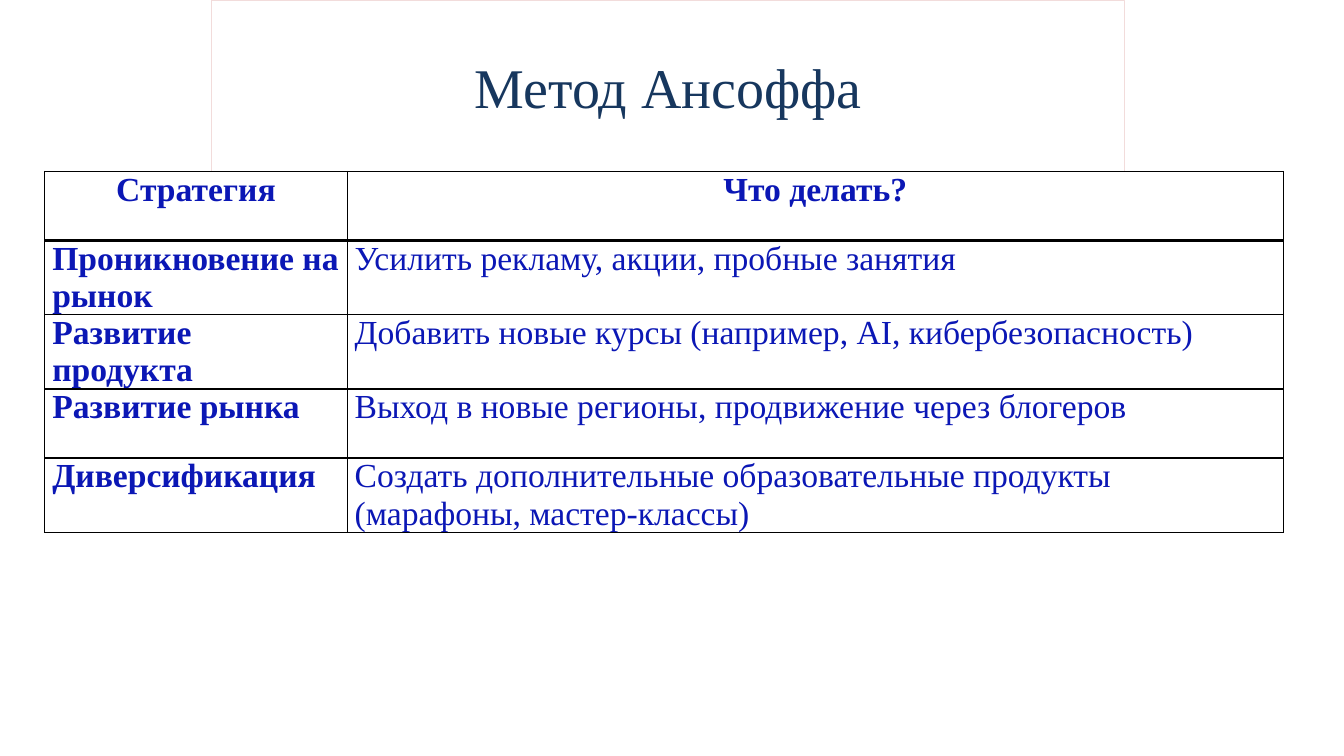
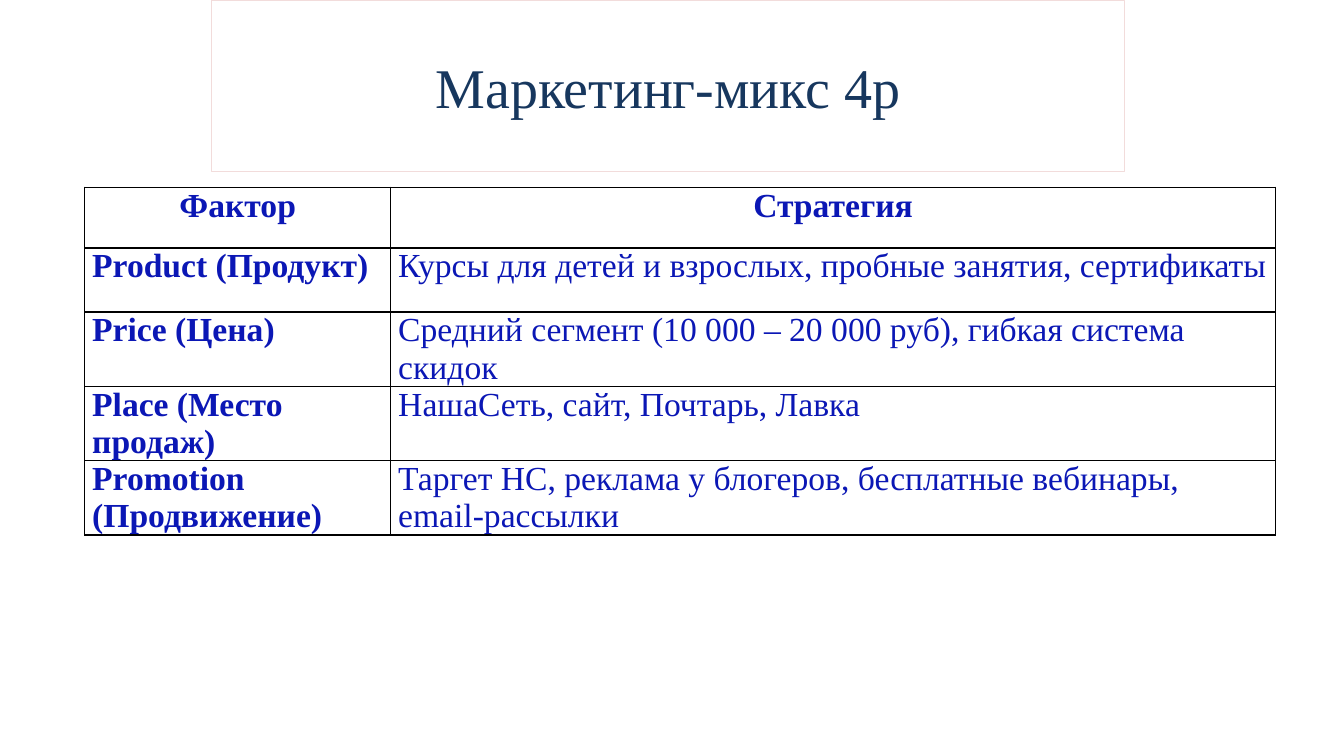
import pptx
import pptx.dml.color
import pptx.enum.text
import pptx.oxml
import pptx.oxml.ns
import pptx.util

Pt = pptx.util.Pt
ALIGN = pptx.enum.text.PP_ALIGN
MIDDLE = pptx.enum.text.MSO_ANCHOR.MIDDLE

FONT = "Times New Roman"
WHITE, NAVY, BLUE, PINK, BLACK = "FFFFFF", "17375E", "0B17B5", "F2DCDB", "000000"

ansoff = {
    "title": "Метод Ансоффа",
    "corner": (32, 122.4),
    "columns": (216, 668.7),
    "heights": (49.3, 52.6, 49.3, 49.3, 49.3),
    "rows": [
        ("Стратегия", "Что делать?"),
        ("Проникновение на рынок", "Усилить рекламу, акции, пробные занятия"),
        ("Развитие продукта", "Добавить новые курсы (например, AI, кибербезопасность)"),
        ("Развитие рынка", "Выход в новые регионы, продвижение через блогеров"),
        ("Диверсификация",
         "Создать дополнительные образовательные продукты (марафоны, мастер-классы)"),
    ],
}
marketing_mix = {
    "title": "Маркетинг-микс 4p",
    "corner": (60.5, 133.8),
    "columns": (218.6, 632),
    "heights": (43.2, 45.9, 40.3, 37.4, 39.6),
    "rows": [
        ("Фактор", "Стратегия"),
        ("Product (Продукт)", "Курсы для детей и взрослых, пробные занятия, сертификаты"),
        ("Price (Цена)", "Средний сегмент (10 000 – 20 000 руб), гибкая система скидок"),
        ("Place (Место продаж)", "НашаСеть, сайт, Почтарь, Лавка"),
        ("Promotion (Продвижение)",
         "Таргет НС, реклама у блогеров, бесплатные вебинары, email-рассылки"),
    ],
}


def color(hex_string):
    return pptx.dml.color.RGBColor.from_string(hex_string)


def add_borders(cell, bottom_width):
    """Draw the four sides of a cell; the borders must precede its fill in the XML."""
    properties = cell._tc.get_or_add_tcPr()
    sides = (("lnL", 1), ("lnR", 1), ("lnT", 1), ("lnB", bottom_width))
    for position, (side, width) in enumerate(sides):
        properties.insert(position, pptx.oxml.parse_xml(
            f'<a:{side} {pptx.oxml.ns.nsdecls("a")} w="{Pt(width)}">'
            f'<a:solidFill><a:srgbClr val="{BLACK}"/></a:solidFill></a:{side}>'))


prs = pptx.Presentation()
prs.slide_width, prs.slide_height = Pt(960), Pt(540)
title_only = prs.slide_layouts[5]

for content in (ansoff, marketing_mix):
    slide = prs.slides.add_slide(title_only)

    title = slide.shapes.title
    title.left, title.top, title.width, title.height = Pt(151.2), Pt(0), Pt(652), Pt(122.4)
    title.fill.solid()
    title.fill.fore_color.rgb = color(WHITE)
    title.line.color.rgb = color(PINK)
    title.line.width = Pt(0.25)
    title.text_frame.text = content["title"]
    title.text_frame.vertical_anchor = MIDDLE
    heading = title.text_frame.paragraphs[0]
    heading.alignment = ALIGN.CENTER
    heading.font.name, heading.font.size = FONT, Pt(40)
    heading.font.color.rgb = color(NAVY)

    left, top = content["corner"]
    rows, columns, heights = content["rows"], content["columns"], content["heights"]
    strategies = slide.shapes.add_table(
        len(rows), len(columns), Pt(left), Pt(top), Pt(sum(columns)), Pt(sum(heights))).table
    for column, width in zip(strategies.columns, columns):
        column.width = Pt(width)

    for row_index, (row, height) in enumerate(zip(rows, heights)):
        strategies.rows[row_index].height = Pt(height)
        is_header = row_index == 0
        for column_index, wording in enumerate(row):
            cell = strategies.cell(row_index, column_index)
            cell.margin_left = cell.margin_right = Pt(5.4)
            cell.margin_top = cell.margin_bottom = 0
            cell.fill.solid()
            cell.fill.fore_color.rgb = color(WHITE)
            add_borders(cell, 2 if is_header else 1)
            cell.text_frame.text = wording
            paragraph = cell.text_frame.paragraphs[0]
            paragraph.alignment = ALIGN.CENTER if is_header else ALIGN.LEFT
            run_font = paragraph.runs[0].font
            run_font.name, run_font.size = FONT, Pt(24)
            run_font.bold = is_header or column_index == 0
            run_font.color.rgb = color(BLUE)

prs.save("out.pptx")
